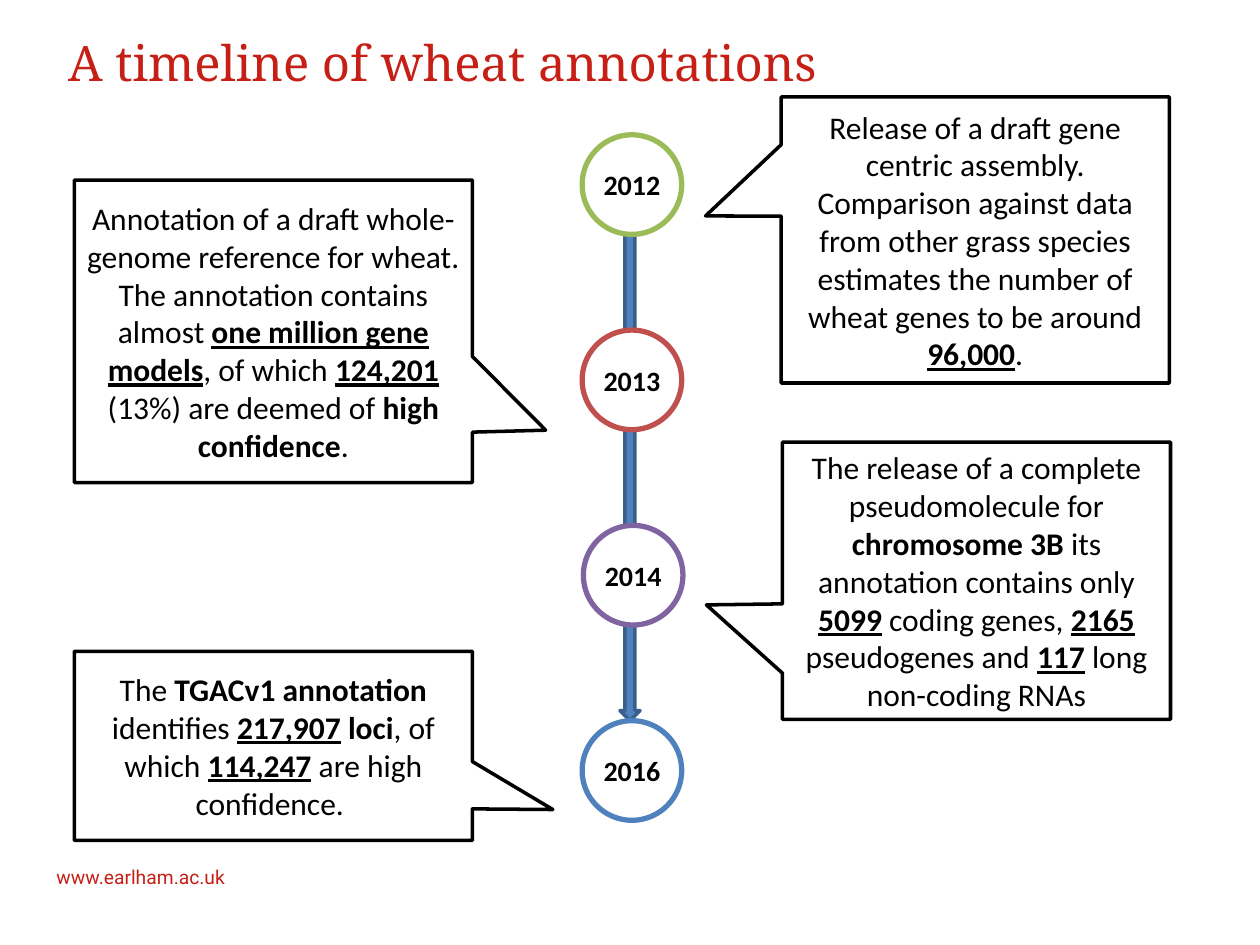
from pptx import Presentation
from pptx.dml.color import RGBColor
from pptx.enum.shapes import MSO_SHAPE
from pptx.enum.text import MSO_ANCHOR, MSO_AUTO_SIZE, PP_ALIGN
from pptx.util import Inches, Pt

OVAL, ARROW = MSO_SHAPE.OVAL, MSO_SHAPE.DOWN_ARROW
CALLOUT = MSO_SHAPE.RECTANGULAR_CALLOUT
TOP, MIDDLE = MSO_ANCHOR.TOP, MSO_ANCHOR.MIDDLE
LEFT, CENTER = PP_ALIGN.LEFT, PP_ALIGN.CENTER
NO_FIT = MSO_AUTO_SIZE.NONE

COLORS = {
    "red": "C61F16", "black": "000000", "white": "FFFFFF",
    "arrow": "4F81BD", "arrow edge": "3A5F8C",
    "2012": "9BBB59", "2013": "C0504D", "2014": "8064A2", "2016": "4F81BD",
}

# Content
TITLE = "A timeline of wheat annotations"
WEBSITE = "www.earlham.ac.uk"
YEARS = [("2012", 4.62), ("2013", 4.62), ("2014", 4.63), ("2016", 4.62)]
PLAIN, BOLD, KEY = (False, False), (True, False), (True, True)  # bold, underline

# (left, top, width, height), pointer offset, styled text
NOTES = [
    ((6.2, 0.77, 3.08, 2.27), (-0.695, -0.084), [
        ("Release of a draft gene centric assembly. Comparison against data from "
         "other grass species estimates the number of wheat genes to be around ", PLAIN),
        ("96,000", KEY), (".", PLAIN)]),
    ((0.59, 1.43, 3.16, 2.4), (0.684, 0.327), [
        ("Annotation of a draft whole-genome reference for wheat. "
         "The annotation contains almost ", PLAIN),
        ("one million gene models", KEY), (", of which ", PLAIN),
        ("124,201", KEY), (" (13%) are deemed of ", PLAIN),
        ("high confidence", BOLD), (".", PLAIN)]),
    ((6.21, 3.51, 3.08, 2.2), (-0.696, 0.087), [
        ("The release of a complete pseudomolecule for ", PLAIN),
        ("chromosome 3B", BOLD), (" its annotation contains only ", PLAIN),
        ("5099", KEY), (" coding genes, ", PLAIN),
        ("2165", KEY), (" pseudogenes and ", PLAIN),
        ("117", KEY), (" long non-coding RNAs", PLAIN)]),
    ((0.59, 5.17, 3.16, 1.5), (0.702, 0.337), [
        ("The ", PLAIN), ("TGACv1 annotation ", BOLD), ("identifies ", PLAIN),
        ("217,907", KEY), (" loci", BOLD), (", of which ", PLAIN),
        ("114,247", KEY), (" are high confidence. ", PLAIN)]),
]

FIRST_TOP, YEAR_STEP, CIRCLE = 1.07, 1.55, 0.79


def color(name):
    return RGBColor.from_string(COLORS[name])


def style(font, name, size, color_name, bold=False, underline=False):
    font.name, font.size = name, Pt(size)
    font.bold, font.underline = bold, underline
    font.color.rgb = color(color_name)


def add_outlined(slide, kind, box, fill, line, width):
    shape = slide.shapes.add_shape(kind, *map(Inches, box))
    shape.shadow.inherit = False
    shape.fill.solid()
    shape.fill.fore_color.rgb = color(fill)
    shape.line.color.rgb = color(line)
    shape.line.width = Pt(width)
    shape.text_frame.vertical_anchor = MIDDLE
    return shape


def add_year(slide, year, left, top):
    circle = add_outlined(slide, OVAL, (left, top, CIRCLE, CIRCLE), "white", year, 3)
    frame = circle.text_frame
    frame.margin_left = frame.margin_right = frame.margin_top = frame.margin_bottom = 0
    frame.word_wrap = False
    frame.text = year
    label = frame.paragraphs[0]
    label.alignment = CENTER
    style(label.runs[0].font, "Calibri", 16, "black", bold=True)


def add_note(slide, box, pointer, pieces):
    note = add_outlined(slide, CALLOUT, box, "white", "black", 2)
    note.adjustments[0], note.adjustments[1] = pointer
    note.text_frame.word_wrap = True
    paragraph = note.text_frame.paragraphs[0]
    paragraph.alignment = CENTER
    for text, emphasis in pieces:
        run = paragraph.add_run()
        run.text = text
        style(run.font, "Calibri", 18, "black", *emphasis)


def main():
    prs = Presentation()
    prs.slide_width, prs.slide_height = Inches(10), Inches(7.5)
    slide = prs.slides.add_slide(prs.slide_layouts[5])

    # Title
    title = slide.shapes.title
    title.left, title.top, title.width, title.height = map(Inches, (0.44, 0.21, 9.13, 1.25))
    title.text_frame.text = TITLE
    title.text_frame.vertical_anchor = TOP
    title.text_frame.auto_size = NO_FIT
    heading = title.text_frame.paragraphs[0]
    heading.alignment = LEFT
    style(heading.runs[0].font, "Noto Serif", 28, "red")

    # Website
    website = slide.shapes.add_textbox(*map(Inches, (0.35, 6.82, 1.97, 0.29)))
    website.text_frame.word_wrap = True
    website.text_frame.text = WEBSITE
    style(website.text_frame.paragraphs[0].runs[0].font, "Roboto", 11, "red")

    # Timeline arrow from the first circle to the last
    arrow_top = FIRST_TOP + CIRCLE
    arrow_height = YEAR_STEP * (len(YEARS) - 1) - CIRCLE
    add_outlined(slide, ARROW, (4.92, arrow_top, 0.16, arrow_height),
                 "arrow", "arrow edge", 2)

    # Years and their notes
    for i, (year, left) in enumerate(YEARS):
        add_year(slide, year, left, FIRST_TOP + i * YEAR_STEP)
    for box, pointer, pieces in NOTES:
        add_note(slide, box, pointer, pieces)

    prs.save("out.pptx")


if __name__ == "__main__":
    main()
